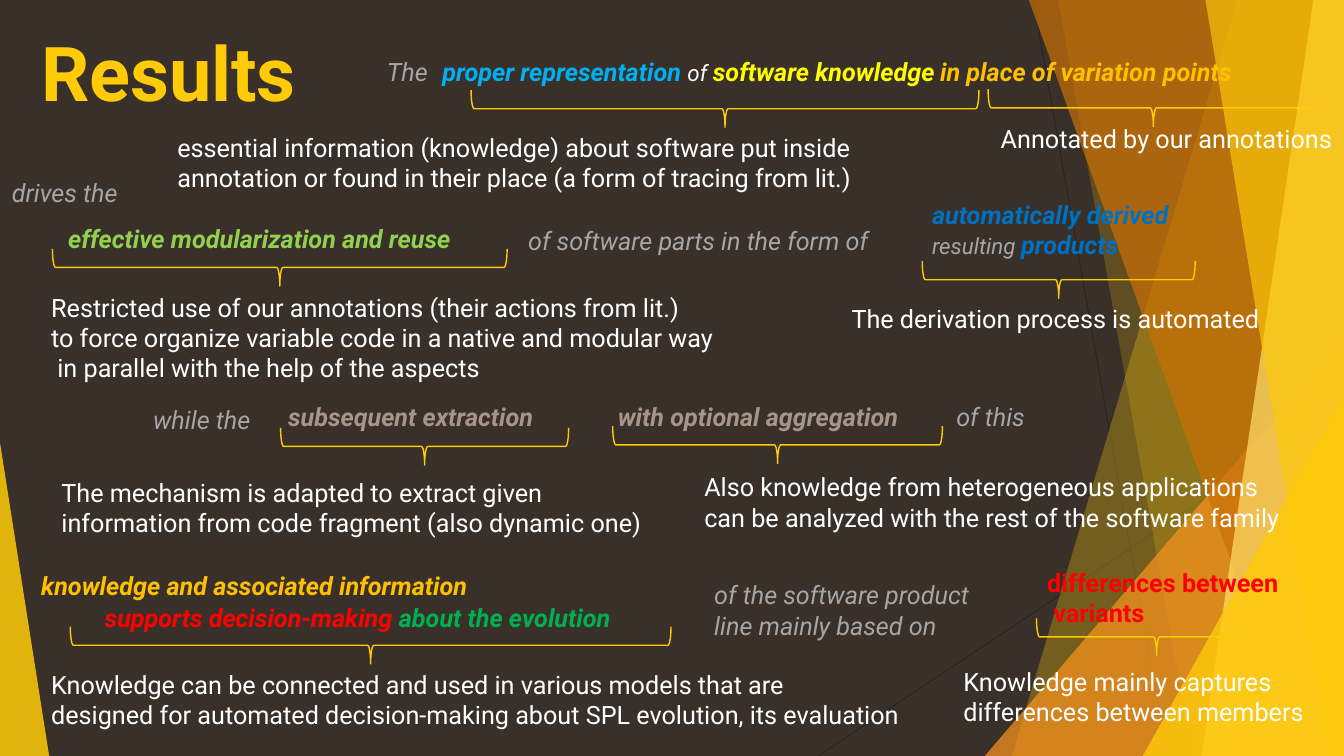
import math
import pptx
import pptx.util
import pptx.dml.color
import pptx.enum.shapes
import pptx.enum.text
import pptx.oxml
import pptx.oxml.ns

Cm = pptx.util.Cm
Kind = pptx.enum.shapes.MSO_SHAPE
WIDE, HIGH = 33.87, 19.05
DARK, GOLD = "39302A", "FFCA08"

STYLES = {
    "title": (54, GOLD, True, False),
    "plain": (18, "FFFFFF", False, False),
    "link": (18, "A6A6A6", False, True),
    "small": (16, "A6A6A6", False, True),
    "of": (16, "FFFFFF", False, True),
    "sky": (18, "00B0F0", True, True),
    "yellow": (18, "FFFF00", True, True),
    "amber": (18, "FFC000", True, True),
    "lime": (18, "92D050", True, True),
    "blue": (18, "0070C0", True, True),
    "taupe": (18, "A89589", True, True),
    "red": (18, "FF0000", True, True),
    "green": (18, "00B050", True, True),
    "alert": (18, "FF0000", True, False),
}

RULES = [(26.04, 0, 29.41, HIGH), (WIDE, 10.24, 20.62, HIGH)]

PANELS = [
    ("band", (31.19, 25.5), GOLD, 30),
    ("band", (26.67, 30.05), GOLD, 20),
    ("peak", (24.82, 8.46, 9.05, 1), "F8931D", 72),
    ("band", (25.93, 32.79), "CA6F06", 70),
    ("band", (33.1, 30.28), "FFDF6B", 70),
    ("band", (30.38, 33.48), GOLD, 65),
    ("peak", (28.8, 9.98, 5.07, 1), GOLD, 80),
    ("peak", (0, 11.15, 1.24, 0), GOLD, 85),
]

DEEP = 0.94
BRACES = [
    (11.87, 2.27, 12.8),
    (24.9, 2.25, 8.33),
    (1.32, 6.27, 11.46),
    (23.24, 6.58, 6.88),
    (7.07, 10.78, 7.26),
    (15.44, 10.74, 8.31),
    (1.77, 15.79, 15.14),
    (26.12, 15.58, 6.05),
]

TEXTS = [
    (0.79, 0.52, 23.88, [[("Results", "title")]]),
    (9.5, 1.3, 1.57, [[("The", "link")]]),
    (10.9, 1.3, 22.78, [[
        ("proper representation ", "sky"), ("of ", "of"),
        ("software knowledge", "yellow"), (" ", "of"),
        ("in place of variation points", "amber")]]),
    (24.97, 2.97, 9.04, [[("Annotated by our annotations", "plain")]]),
    (4.22, 3.2, 18.39, [[(
        "essential information (knowledge) about software put inside "
        "annotation or found in their place (a form of tracing from lit.)",
        "plain")]]),
    (0.05, 4.34, 3.4, [[("drives the", "link")]]),
    (1.47, 5.51, 11.2, [[("effective modularization and reuse", "lime")]]),
    (13.06, 5.54, 9.83, [[("of software parts in the form of", "link")]]),
    (23.24, 4.9, 7.44, [
        [("automatically derived", "blue")],
        [("resulting ", "small"), ("products", "blue")]]),
    (1.04, 7.24, 17.86, [
        [("Restricted use of our annotations (their actions from lit.)", "plain")],
        [("to force organize variable code in a native and modular way", "plain")],
        [(" in parallel with the help of the aspects", "plain")]]),
    (21.21, 7.52, 10.97, [[("The derivation process is automated", "plain")]]),
    (3.61, 10.06, 3.25, [[("while the", "link")]]),
    (7.01, 9.98, 7.32, [[("subsequent extraction", "taupe")]]),
    (15.32, 9.98, 8.43, [[("with optional aggregation", "taupe")]]),
    (23.85, 9.98, 2.39, [[("of this", "link")]]),
    (1.3, 11.89, 15.44, [
        [("The mechanism is adapted to extract given", "plain")],
        [("information from code fragment (also dynamic one)", "plain")]]),
    (17.5, 11.76, 15.67, [
        [("Also knowledge from heterogeneous applications", "plain")],
        [("can be analyzed with the rest of the software family", "plain")]]),
    (0.79, 14.25, 12.27, [[("knowledge and associated information", "amber")]]),
    (2.39, 15.04, 14.6, [[
        ("supports decision-making ", "red"), ("about the evolution", "green")]]),
    (17.75, 14.48, 7.65, [
        [("of the software product", "link")],
        [("line mainly based on", "link")]]),
    (26.14, 14.17, 6.73, [
        [("differences between", "alert")],
        [(" variants", "alert")]]),
    (1.04, 16.74, 22.38, [
        [("Knowledge can be connected and used in various models that are", "plain")],
        [("designed for automated decision-making about SPL evolution, its evaluation",
          "plain")]]),
    (24.03, 16.66, 9.27, [
        [("Knowledge mainly captures", "plain")],
        [("differences between members", "plain")]]),
]


def paint(spot, hue):
    spot.rgb = pptx.dml.color.RGBColor.from_string(hue)


def fill(shape, hue, alpha):
    shape.shadow.inherit = False
    shape.line.fill.background()
    shape.fill.solid()
    paint(shape.fill.fore_color, hue)
    tone = shape.fill._xPr.find(".//" + pptx.oxml.ns.qn("a:srgbClr"))
    veil = pptx.oxml.parse_xml(
        "<a:alpha %s val='%d'/>" % (pptx.oxml.ns.nsdecls("a"), alpha * 1000))
    tone.append(veil)


def rule(page, ends):
    line = page.add_connector(
        pptx.enum.shapes.MSO_CONNECTOR.STRAIGHT, *map(Cm, ends))
    paint(line.line.color, "262626")
    line.line.width = pptx.util.Pt(0.75)
    line._element.spPr.append(pptx.oxml.parse_xml(
        "<a:effectLst %s/>" % pptx.oxml.ns.nsdecls("a")))


def band(page, top, foot):
    pen = page.build_freeform(Cm(top), 0, 1.0)
    pen.add_line_segments(
        [(Cm(WIDE), 0), (Cm(WIDE), Cm(HIGH)), (Cm(foot), Cm(HIGH))], close=True)
    return pen.convert_to_shape()


def peak(page, left, top, wide, tip):
    shape = page.add_shape(
        Kind.ISOSCELES_TRIANGLE, Cm(left), Cm(top), Cm(wide), Cm(HIGH - top))
    shape.adjustments[0] = tip
    return shape


def brace(page, left, top, span):
    shift = (span - DEEP) / 2
    shape = page.add_shape(
        Kind.RIGHT_BRACE, Cm(left + shift), Cm(top - shift), Cm(DEEP), Cm(span))
    shape.rotation = 90
    shape.shadow.inherit = False
    shape.fill.background()
    paint(shape.line.color, GOLD)
    shape.line.width = pptx.util.Pt(1)


def write(page, left, top, wide, lines):
    size = STYLES[lines[0][0][1]][0]
    rows = sum(math.ceil(sum(len(t) for t, s in line) / 75) for line in lines)
    high = 0.24 + rows * size * 0.0433
    box = page.add_textbox(Cm(left), Cm(top), Cm(wide), Cm(high))
    frame = box.text_frame
    frame.word_wrap = True
    frame.auto_size = pptx.enum.text.MSO_AUTO_SIZE.SHAPE_TO_FIT_TEXT
    for num, line in enumerate(lines):
        para = frame.add_paragraph() if num else frame.paragraphs[0]
        for text, style in line:
            run = para.add_run()
            run.text = text
            size, hue, bold, slant = STYLES[style]
            font = run.font
            font.name = "Roboto"
            font.size = pptx.util.Pt(size)
            font.bold, font.italic = bold, slant
            paint(font.color, hue)


def main():
    deck = pptx.Presentation()
    deck.slide_width, deck.slide_height = Cm(WIDE), Cm(HIGH)
    slide = deck.slides.add_slide(deck.slide_layouts[6])
    slide.background.fill.solid()
    paint(slide.background.fill.fore_color, DARK)
    page = slide.shapes
    for ends in RULES:
        rule(page, ends)
    for kind, place, hue, alpha in PANELS:
        make = band if kind == "band" else peak
        fill(make(page, *place), hue, alpha)
    for place in BRACES:
        brace(page, *place)
    for item in TEXTS:
        write(page, *item)
    deck.save("out.pptx")


if __name__ == "__main__":
    main()
